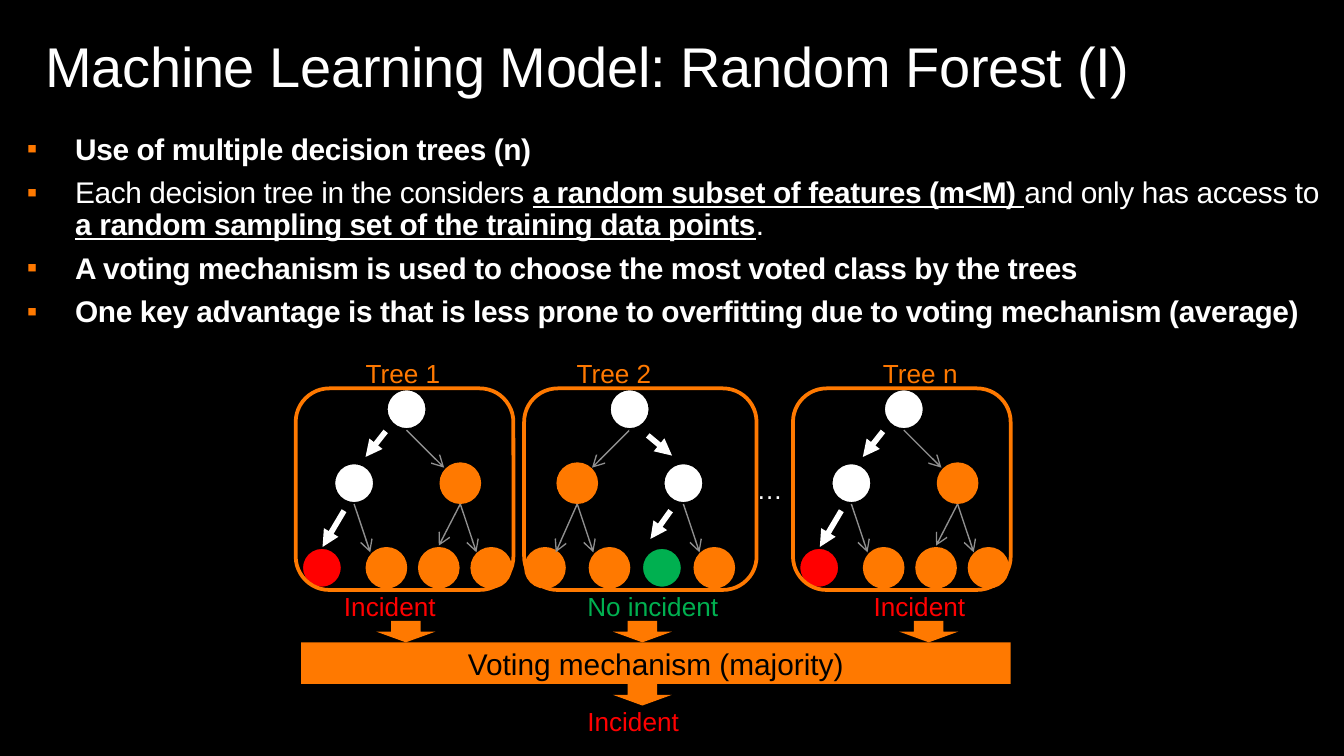
from lxml import etree
from pptx import Presentation
from pptx.dml.color import RGBColor
from pptx.enum.shapes import MSO_CONNECTOR, MSO_SHAPE
from pptx.enum.text import MSO_ANCHOR, MSO_AUTO_SIZE, PP_ALIGN
from pptx.oxml.ns import qn
from pptx.util import Inches, Pt

ELLIPSE, FRAME = MSO_SHAPE.OVAL, MSO_SHAPE.ROUNDED_RECTANGLE
RECT, DOWN = MSO_SHAPE.RECTANGLE, MSO_SHAPE.DOWN_ARROW
STRAIGHT = MSO_CONNECTOR.STRAIGHT
TOP, MIDDLE = MSO_ANCHOR.TOP, MSO_ANCHOR.MIDDLE
LEFT, CENTER = PP_ALIGN.LEFT, PP_ALIGN.CENTER
FIXED, GROW = MSO_AUTO_SIZE.NONE, MSO_AUTO_SIZE.SHAPE_TO_FIT_TEXT

BLACK = RGBColor(0x00, 0x00, 0x00)
WHITE = RGBColor(0xFF, 0xFF, 0xFF)
ORANGE = RGBColor(0xFF, 0x79, 0x00)
RED = RGBColor(0xFF, 0x00, 0x00)
GREEN = RGBColor(0x00, 0xB0, 0x50)
GREY = RGBColor(0x8F, 0x8F, 0x8F)
FONT = "Arial"

TITLE = "Machine Learning Model: Random Forest (I)"
PLAIN, BOLD, UNDERLINED = (False, False), (True, False), (True, True)
BULLETS = [
    [("Use of multiple decision trees (n)", BOLD)],
    [("Each decision tree in the considers ", PLAIN),
     ("a random subset of features (m<M) ", UNDERLINED),
     ("and only has access to ", PLAIN),
     ("a random sampling set of the training data points", UNDERLINED),
     (".", PLAIN)],
    [("A voting mechanism is used to choose the most voted class by the trees", BOLD)],
    [("One key advantage is that is less prone to overfitting due to voting mechanism (average)", BOLD)],
]

LEFT_PATH = [((0, 0.32), (-0.15, 0.51)), ((-0.31, 0.91), (-0.47, 1.18))]
RIGHT_PATH = [((0.29, 0.35), (0.47, 0.5)), ((0.46, 0.91), (0.31, 1.12))]
TREES = [
    dict(name="Tree 1", name_x=2.72, root_x=2.87, frame=(2.2, 1.62), visited=(0, 1, 3),
         vote="Incident", vote_x=2.56, color=RED, arrow_x=2.8, path_arrows=LEFT_PATH),
    dict(name="Tree 2", name_x=4.29, root_x=4.53, frame=(3.9, 1.73), visited=(0, 2, 5),
         vote="No incident", vote_x=4.37, color=GREEN, arrow_x=4.56, path_arrows=RIGHT_PATH),
    dict(name="Tree n", name_x=6.57, root_x=6.57, frame=(5.9, 1.62), visited=(0, 1, 3),
         vote="Incident", vote_x=6.5, color=RED, arrow_x=6.69, path_arrows=LEFT_PATH),
]
ROOT_Y, NODE, FRAME_H = 2.89, 0.31, 1.5
NODES = [(0, 0), (-0.39, 0.55), (0.4, 0.55),
         (-0.63, 1.18), (-0.15, 1.18), (0.24, 1.18), (0.63, 1.18)]
EDGES = [(0, 1, -0.28, 0.28), (0, 2, 0.28, 0.28), (1, 3, -0.16, 0.36),
         (1, 4, 0.12, 0.36), (2, 5, -0.16, 0.31), (2, 6, 0.12, 0.36)]
LABEL_W, LABEL_H = 1.1, 0.24
BAR_X, BAR_Y, BAR_W, BAR_H = 2.24, 4.78, 5.28, 0.31
ARROW_W, ARROW_H = 0.44, 0.16


def style(r, size, color, bold=False, underline=False):
    r.font.name, r.font.size = FONT, Pt(size)
    r.font.color.rgb = color
    r.font.bold, r.font.underline = bold, underline


def tighten(r):
    r.font._element.set("spc", "-20")


def prepare(sp, x, y, w, h, auto_size):
    sp.left, sp.top, sp.width, sp.height = map(Inches, (x, y, w, h))
    tf = sp.text_frame
    tf.margin_left = tf.margin_right = tf.margin_top = tf.margin_bottom = 0
    tf.word_wrap, tf.vertical_anchor = True, TOP
    tf.auto_size = auto_size
    return tf


def add_label(text, x, y, color, width=LABEL_W):
    sp = s.shapes.add_textbox(0, 0, 0, 0)
    tf = prepare(sp, x, y, width, LABEL_H, GROW)
    tf.text = text
    style(tf.paragraphs[0].runs[0], 14, color)


def add_shape(kind, x, y, w, h, fill=None, line=None):
    sp = s.shapes.add_shape(kind, *map(Inches, (x, y, w, h)))
    sp.shadow.inherit = False
    if fill is None:
        sp.fill.background()
    else:
        sp.fill.solid()
        sp.fill.fore_color.rgb = fill
    if line is None:
        sp.line.fill.background()
    else:
        sp.line.color.rgb = line
        sp.line.width = Pt(2)
    return sp


def add_arrow(x1, y1, x2, y2, color, width, head):
    c = s.shapes.add_connector(STRAIGHT, *map(Inches, (x1, y1, x2, y2)))
    c.line.color.rgb = color
    c.line.width = Pt(width)
    etree.SubElement(c.line._get_or_add_ln(), qn("a:tailEnd"), type=head)
    etree.SubElement(c._element.spPr, qn("a:effectLst"))


def add_bullet(p):
    pPr = p._p.get_or_add_pPr()
    pPr.set("marL", str(Inches(0.36)))
    pPr.set("indent", str(Inches(-0.38)))
    clr = etree.SubElement(pPr, qn("a:buClr"))
    etree.SubElement(clr, qn("a:srgbClr"), val=str(ORANGE))
    etree.SubElement(pPr, qn("a:buFont"), typeface=FONT)
    etree.SubElement(pPr, qn("a:buChar"), char="▪")


def add_tree(tree):
    x, visited = tree["root_x"], tree["visited"]
    for i, (dx, dy) in enumerate(NODES):
        on_path = i in visited
        fill = (tree["color"] if i > 2 else WHITE) if on_path else ORANGE
        add_shape(ELLIPSE, x + dx, ROOT_Y + dy, NODE, NODE, fill, BLACK if on_path else None)
    for parent, child, dx, dy in EDGES:
        x1 = x + NODES[parent][0] + NODE / 2
        y1 = ROOT_Y + NODES[parent][1] + NODE
        add_arrow(x1, y1, x1 + dx, y1 + dy, BLACK if child in visited else GREY, 0.75, "arrow")
    frame_x, frame_w = tree["frame"]
    add_shape(FRAME, frame_x, ROOT_Y, frame_w, FRAME_H, line=ORANGE)
    for (x1, y1), (x2, y2) in tree["path_arrows"]:
        add_arrow(x + x1, ROOT_Y + y1, x + x2, ROOT_Y + y2, WHITE, 3, "triangle")
    add_label(tree["name"], tree["name_x"], 2.66, ORANGE)
    add_label(tree["vote"], tree["vote_x"], ROOT_Y + FRAME_H, tree["color"])
    add_shape(DOWN, tree["arrow_x"], BAR_Y - ARROW_H, ARROW_W, ARROW_H, ORANGE)


prs = Presentation()
prs.slide_width = Inches(10)
prs.slide_height = prs.slide_width * 9 // 16
s = prs.slides.add_slide(prs.slide_layouts[1])
s.background.fill.solid()
s.background.fill.fore_color.rgb = BLACK

tf = prepare(s.shapes.title, 0.34, 0.29, 9.31, 1.5, FIXED)
tf.text = TITLE
p = tf.paragraphs[0]
p.alignment, p.line_spacing = LEFT, 0.9
style(p.runs[0], 30, WHITE)
tighten(p.runs[0])

tf = prepare(s.placeholders[1], 0.2, 1, 9.72, 1.42, FIXED)
for i, parts in enumerate(BULLETS):
    p = tf.add_paragraph() if i else tf.paragraphs[0]
    p.line_spacing, p.space_before = 0.9, Pt(6)
    add_bullet(p)
    for text, (bold, underline) in parts:
        r = p.add_run()
        r.text = text
        style(r, 16, WHITE, bold, underline)
        tighten(r)

for tree in TREES:
    add_tree(tree)
add_label("…", 5.63, 3.52, WHITE, LABEL_W / 2)

bar = add_shape(RECT, BAR_X, BAR_Y, BAR_W, BAR_H, ORANGE)
tf = bar.text_frame
tf.text = "Voting mechanism (majority)"
tf.vertical_anchor = MIDDLE
tf.paragraphs[0].alignment = CENTER
style(tf.paragraphs[0].runs[0], 16, BLACK)
add_shape(DOWN, TREES[1]["arrow_x"], BAR_Y + BAR_H, ARROW_W, ARROW_H, ORANGE)
add_label("Incident", TREES[1]["vote_x"], BAR_Y + BAR_H + ARROW_H, RED)

prs.save("out.pptx")
